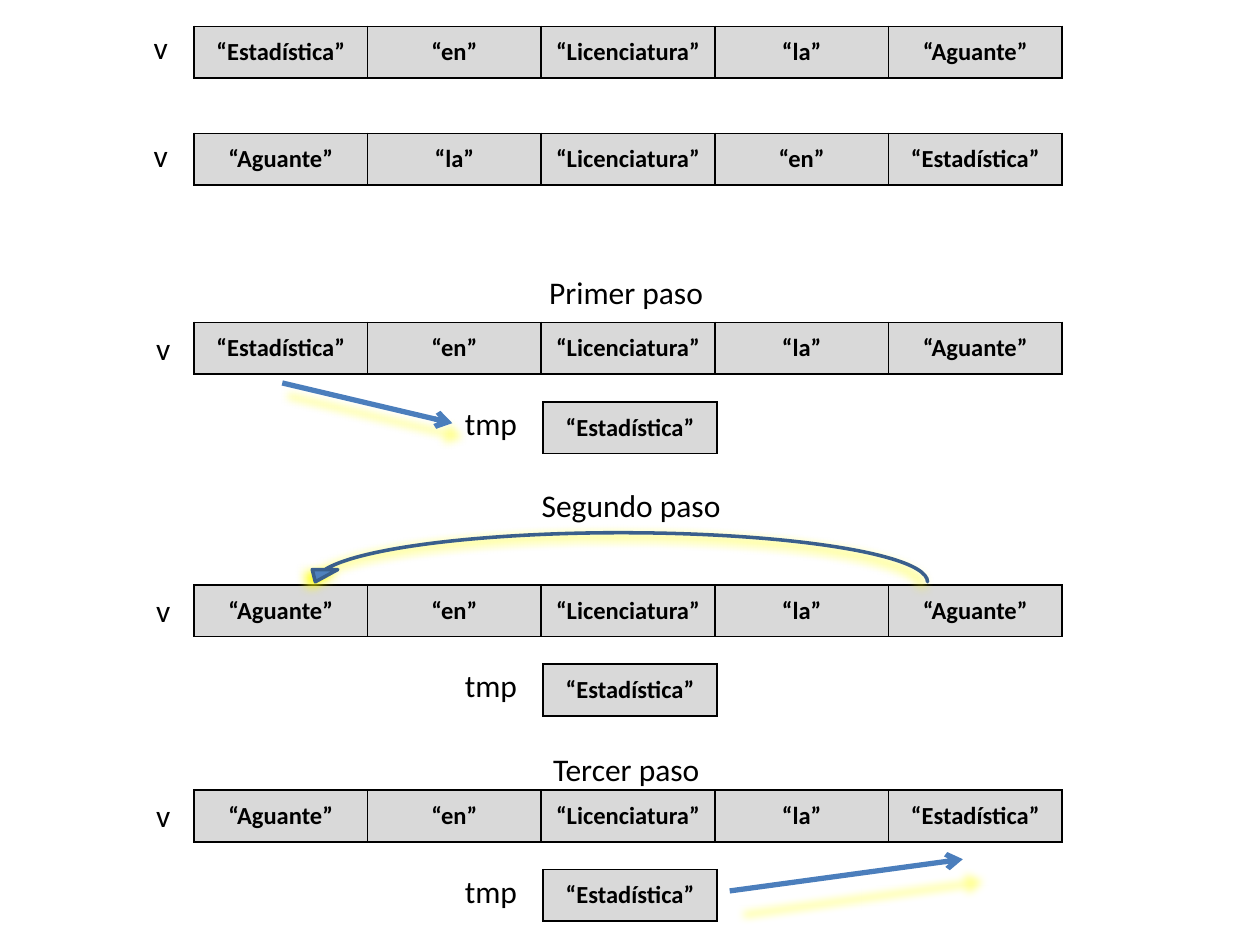
from dataclasses import dataclass

from lxml.etree import SubElement
from pptx import Presentation
from pptx.dml.color import RGBColor
from pptx.enum.shapes import MSO_CONNECTOR as Link, MSO_SHAPE as Shape
from pptx.enum.text import MSO_ANCHOR as Anchor, MSO_AUTO_SIZE as Fit, PP_ALIGN as Align
from pptx.oxml.ns import qn
from pptx.util import Cm, Pt

BLACK = RGBColor(0x00, 0x00, 0x00)
GRAY = RGBColor(0xD9, 0xD9, 0xD9)
BLUE = RGBColor(0x4F, 0x81, 0xBD)
NAVY = RGBColor(0x3A, 0x5F, 0x8C)
STEEL = RGBColor(0x4B, 0x7E, 0xBC)
GLOW = RGBColor(0xFF, 0xFF, 0x00)

LEFT, COL, ROW = 3.91, 3.5, 1.04
TEMP_X, TEMP_GAP = 10.95, 1.6

FIRST = "“Estadística”"
LAST = "“Aguante”"
MIDDLE = ("“en”", "“Licenciatura”", "“la”")


@dataclass
class Step:
    title: str
    title_x: float
    title_y: float
    row_y: float
    ends: tuple[str, str]


@dataclass
class Arrow:
    start: tuple[float, float]
    end: tuple[float, float]


STEPS = (
    Step("Primer paso", 10.82, 5.38, 6.5, (FIRST, LAST)),
    Step("Segundo paso", 10.67, 9.68, 11.79, (LAST, LAST)),
    Step("Tercer paso", 10.9, 14.99, 15.93, (LAST, FIRST)),
)
ARROWS = (
    Arrow((5.69, 7.72), (9.12, 8.53)),
    Arrow((14.71, 17.96), (19.41, 17.32)),
)


def write(frame, text: str, *, size: int = 18, bold: bool = False, align=Align.LEFT) -> None:
    para = frame.paragraphs[0]
    para.alignment = align
    run = para.add_run()
    run.text = text
    font = run.font
    font.name, font.size, font.bold = "Calibri", Pt(size), bold
    font.color.rgb = BLACK


def label(slide, text: str, x: float, y: float, wide: float) -> None:
    frame = slide.shapes.add_textbox(Cm(x), Cm(y), Cm(wide), Cm(1.02)).text_frame
    frame.word_wrap = True
    frame.auto_size = Fit.SHAPE_TO_FIT_TEXT
    write(frame, text)


def border(cell) -> None:
    props = cell._tc.get_or_add_tcPr()
    for side in ("a:lnL", "a:lnR", "a:lnT", "a:lnB"):
        line = SubElement(props, qn(side), w=str(Pt(1)))
        fill = SubElement(line, qn("a:solidFill"))
        SubElement(fill, qn("a:srgbClr"), val=str(BLACK))


def vector(slide, words: tuple[str, ...], x: float, y: float) -> None:
    count = len(words)
    table = slide.shapes.add_table(1, count, Cm(x), Cm(y), Cm(COL * count), Cm(ROW)).table
    table.first_row = table.horz_banding = False
    table.rows[0].height = Cm(ROW)
    for i, word in enumerate(words):
        table.columns[i].width = Cm(COL)
        cell = table.cell(0, i)
        border(cell)
        cell.fill.solid()
        cell.fill.fore_color.rgb = GRAY
        cell.vertical_anchor = Anchor.MIDDLE
        write(cell.text_frame, word, size=14, bold=True, align=Align.CENTER)


def shadow(props, *, alpha: int, blur: int, dist: int, angle: int, scale: int = 100) -> None:
    for old in props.findall(qn("a:effectLst")):
        props.remove(old)
    effects = SubElement(props, qn("a:effectLst"))
    outer = SubElement(
        effects, qn("a:outerShdw"), blurRad=str(Pt(blur)), dist=str(Pt(dist)),
        dir=str(angle * 60000), sx=str(scale * 1000), sy=str(scale * 1000),
        algn="ctr", rotWithShape="0",
    )
    color = SubElement(outer, qn("a:srgbClr"), val=str(GLOW))
    SubElement(color, qn("a:alpha"), val=str(alpha * 1000))


def draw_arrow(slide, arrow: Arrow) -> None:
    ends = [Cm(n) for n in (*arrow.start, *arrow.end)]
    link = slide.shapes.add_connector(Link.STRAIGHT, *ends)
    link.line.color.rgb = STEEL
    link.line.width = Pt(3)
    SubElement(link.line._get_or_add_ln(), qn("a:tailEnd"), type="arrow")
    shadow(link._element.spPr, alpha=43, blur=5, dist=3, angle=90, scale=102)


def draw_curve(slide) -> None:
    curve = slide.shapes.add_shape(
        Shape.CURVED_DOWN_ARROW, Cm(6.1), Cm(10.74), Cm(12.6), Cm(0.99))
    for i, value in enumerate((0, 0.52, 0.25)):
        curve.adjustments[i] = value
    curve.fill.solid()
    curve.fill.fore_color.rgb = BLUE
    curve.line.color.rgb = NAVY
    curve.line.width = Pt(2)
    props = curve._element.spPr
    props.find(qn("a:xfrm")).set("flipH", "1")
    shadow(props, alpha=100, blur=6, dist=4, angle=148)


def main() -> None:
    deck = Presentation()
    deck.slide_width, deck.slide_height = Cm(25.4), Cm(19.05)
    slide = deck.slides.add_slide(deck.slide_layouts[6])

    # Vector before and after the reversal
    for words, y in (
        ((FIRST, *MIDDLE, LAST), 0.53),
        ((LAST, *reversed(MIDDLE), FIRST), 2.69),
    ):
        vector(slide, words, LEFT, y)
        label(slide, "v", 2.85, y - 0.08, 1.2)

    # Swap in three steps
    for step in STEPS:
        head, tail = step.ends
        temp_y = step.row_y + TEMP_GAP
        label(slide, step.title, step.title_x, step.title_y, 8.6)
        vector(slide, (head, *MIDDLE, tail), LEFT, step.row_y)
        label(slide, "v", 2.9, step.row_y, 1.2)
        vector(slide, (FIRST,), TEMP_X, temp_y)
        label(slide, "tmp", 9.12, temp_y - 0.08, 1.8)

    # Moves between cells
    for arrow in ARROWS:
        draw_arrow(slide, arrow)
    draw_curve(slide)

    deck.save("out.pptx")


if __name__ == "__main__":
    main()
